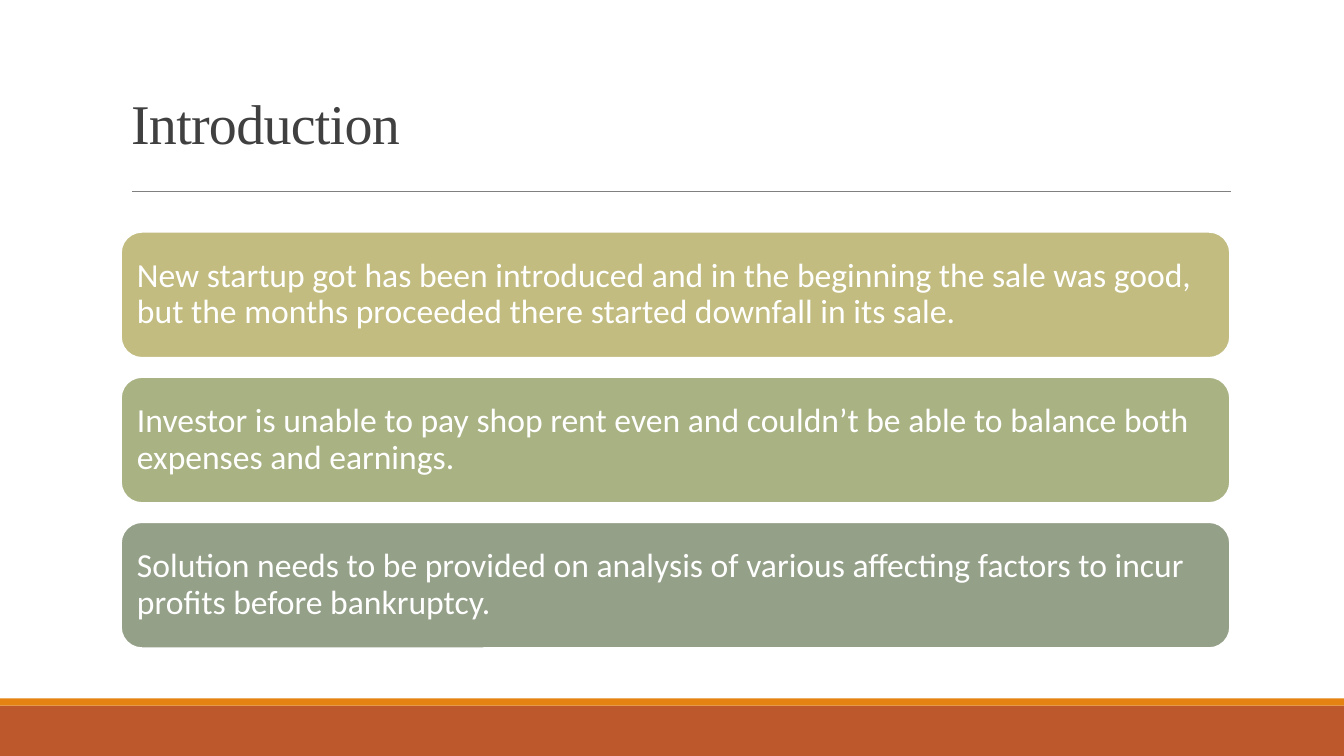
from pptx import Presentation
from pptx.dml.color import RGBColor
from pptx.enum.shapes import MSO_CONNECTOR, MSO_SHAPE
from pptx.enum.text import MSO_ANCHOR, PP_ALIGN
from pptx.oxml.ns import qn
from pptx.util import Inches, Pt
from lxml.etree import SubElement


def color(code):
    return RGBColor.from_string(code)


def block(kind, left, top, width, height, fill):
    shape = slide.shapes.add_shape(
        kind, Inches(left), Inches(top), Inches(width), Inches(height))
    shape.shadow.inherit = False
    shape.fill.solid()
    shape.fill.fore_color.rgb = color(fill)
    shape.line.fill.background()
    return shape


deck = Presentation()
deck.slide_width = Inches(13.33)
deck.slide_height = Inches(7.5)
slide = deck.slides.add_slide(deck.slide_layouts[5])

block(MSO_SHAPE.RECTANGLE, 0, 7, 13.33, 0.5, "BD582C")
block(MSO_SHAPE.RECTANGLE, 0, 6.93, 13.33, 0.07, "E48312")

rule = slide.shapes.add_connector(
    MSO_CONNECTOR.STRAIGHT, Inches(1.31), Inches(1.9), Inches(12.21), Inches(1.9))
rule.line.color.rgb = color("808080")
rule.line.width = Pt(0.5)
SubElement(rule._element.spPr, qn("a:effectLst"))

title = slide.shapes.title
title.left, title.top = Inches(1.2), Inches(0.31)
title.width, title.height = Inches(11), Inches(1.29)
title.text = "Introduction"
title.text_frame.vertical_anchor = MSO_ANCHOR.BOTTOM
head = title.text_frame.paragraphs[0]
head.alignment = PP_ALIGN.LEFT
head.line_spacing = 0.85
head.font.name = "Times New Roman"
head.font.size = Pt(40)
head.font.color.rgb = color("404040")
head.runs[0].font._element.set("spc", "-50")

points = [
    ("C2BC80", "New startup got has been introduced and in the beginning the sale "
               "was good, but the months proceeded there started downfall in its sale."),
    ("A8B283", "Investor is unable to pay shop rent even and couldn’t be able to "
               "balance both expenses and earnings."),
    ("94A088", "Solution needs to be provided on analysis of various affecting "
               "factors to incur profits before bankruptcy."),
]
for row, (fill, text) in enumerate(points):
    card = block(MSO_SHAPE.ROUNDED_RECTANGLE, 1.2, 2.3 + row * 1.44, 11, 1.25, fill)
    card.line.color.rgb = color("FFFFFF")
    card.line.width = Pt(1.25)
    frame = card.text_frame
    frame.word_wrap = True
    frame.vertical_anchor = MSO_ANCHOR.MIDDLE
    frame.margin_left = frame.margin_right = Inches(0.1)
    frame.margin_top = frame.margin_bottom = Inches(0.1)
    frame.text = text
    para = frame.paragraphs[0]
    para.alignment = PP_ALIGN.LEFT
    para.line_spacing = 0.9
    para.font.name = "Calibri"
    para.font.size = Pt(24)
    para.font.color.rgb = color("FFFFFF")

deck.save("out.pptx")
